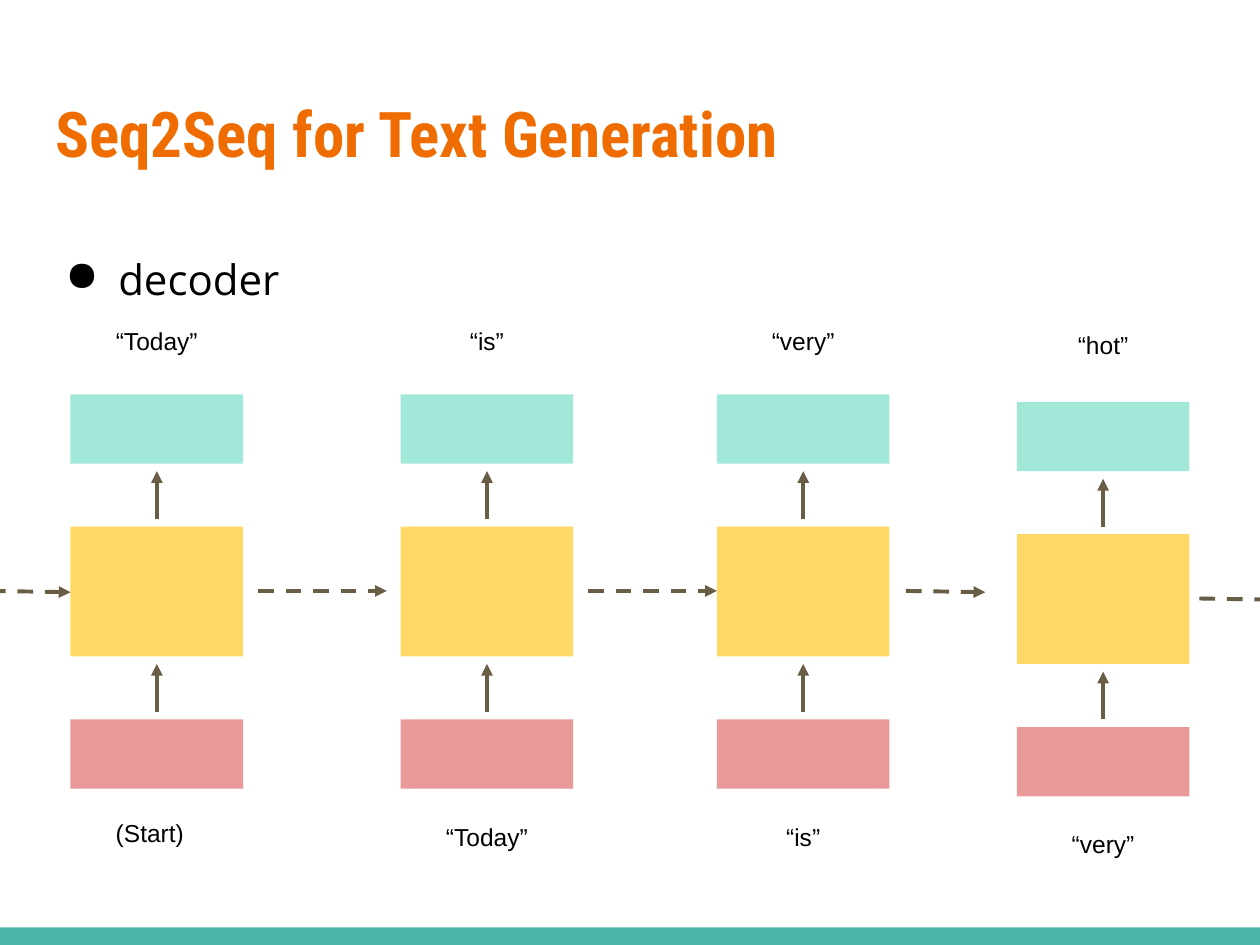
from dataclasses import dataclass

from lxml import etree
from pptx import Presentation
from pptx.dml.color import RGBColor
from pptx.enum.dml import MSO_LINE
from pptx.enum.shapes import MSO_CONNECTOR, MSO_SHAPE
from pptx.enum.text import MSO_ANCHOR, PP_ALIGN
from pptx.oxml.ns import qn
from pptx.util import Inches, Pt


@dataclass(frozen=True)
class Theme:
    title: str = "EF6C00"
    text: str = "000000"
    footer: str = "4DB6AC"
    output: str = "A1E8D9"
    cell: str = "FFD966"
    source: str = "EA9999"
    arrow: str = "695D46"
    title_font: str = "Roboto Condensed"
    body_font: str = "Open Sans"
    label_font: str = "Arial"
    title_size: int = 36
    body_size: int = 24
    label_size: int = 14
    arrow_width: float = 2.25


THEME = Theme()
STEP_WIDTH = 1.37

# left, top, output word, word top, input word, input word top
STEPS = [
    (0.56, 3.13, "“Today”", 2.49, "(Start)", 6.39),
    (3.18, 3.13, "“is”", 2.49, "“Today”", 6.42),
    (5.69, 3.13, "“very”", 2.49, "“is”", 6.42),
    (8.07, 3.19, "“hot”", 2.52, "“very”", 6.48),
]

# Hidden state passed between steps: start x, start y, end x, end y
STATE_ARROWS = [
    (-0.08, 4.69, 0.56, 4.70),
    (2.05, 4.69, 3.07, 4.69),
    (4.67, 4.69, 5.69, 4.69),
    (7.19, 4.69, 7.82, 4.70),
    (9.52, 4.75, 10.15, 4.76),
]


def add_block(page, left, top, width, height, color):
    block = page.shapes.add_shape(
        MSO_SHAPE.RECTANGLE, Inches(left), Inches(top), Inches(width), Inches(height))
    block.shadow.inherit = False
    block.fill.solid()
    block.fill.fore_color.rgb = RGBColor.from_string(color)
    block.line.fill.background()


def add_text(page, left, top, width, height, text, font, size,
             color=THEME.text, bold=False, align=PP_ALIGN.LEFT):
    box = page.shapes.add_textbox(Inches(left), Inches(top), Inches(width), Inches(height))
    frame = box.text_frame
    frame.word_wrap = True
    frame.vertical_anchor = MSO_ANCHOR.TOP
    frame.margin_left = frame.margin_right = Inches(0.1)
    frame.margin_top = frame.margin_bottom = Inches(0.1)
    frame.text = text
    para = frame.paragraphs[0]
    para.alignment = align
    span = para.runs[0]
    span.font.name = font
    span.font.size = Pt(size)
    span.font.bold = bold
    span.font.color.rgb = RGBColor.from_string(color)
    return para


def add_arrow(page, x1, y1, x2, y2, dashed=False):
    arrow = page.shapes.add_connector(
        MSO_CONNECTOR.STRAIGHT, Inches(x1), Inches(y1), Inches(x2), Inches(y2))
    arrow.line.color.rgb = RGBColor.from_string(THEME.arrow)
    arrow.line.width = Pt(THEME.arrow_width)
    if dashed:
        arrow.line.dash_style = MSO_LINE.DASH
    props = arrow._element.spPr
    etree.SubElement(props.find(qn("a:ln")), qn("a:tailEnd"), type="triangle")
    etree.SubElement(props, qn("a:effectLst"))


def add_heading(page, left, top, width):
    add_text(page, left, top, width, 1.03, "Seq2Seq for Text Generation",
             THEME.title_font, THEME.title_size, THEME.title, bold=True)


def add_bullet(page, left, top, width):
    para = add_text(page, left, top, width, 0.79, "decoder",
                    THEME.body_font, THEME.body_size)
    para.line_spacing = 1.15
    para.space_after = Pt(16)
    props = para._p.get_or_add_pPr()
    props.set("marL", str(Inches(0.5)))
    props.set("indent", str(Inches(-0.42)))
    color = etree.SubElement(props, qn("a:buClr"))
    etree.SubElement(color, qn("a:srgbClr"), val=THEME.text)
    etree.SubElement(props, qn("a:buChar"), char="●")


def add_step(page, left, top, output, output_top, source, source_top):
    # Output, cell and input blocks
    for offset, height, color in ((0, 0.55, THEME.output),
                                  (1.05, 1.03, THEME.cell),
                                  (2.58, 0.55, THEME.source)):
        add_block(page, left, top + offset, STEP_WIDTH, height, color)

    # Upward arrows between the blocks
    center = left + STEP_WIDTH / 2
    for offset in (0.99, 2.52):
        add_arrow(page, center, top + offset, center, top + offset - 0.38)

    # Words above and below; the start token is set flush left
    for word, word_top in ((output, output_top), (source, source_top)):
        is_start = word == "(Start)"
        inset = 0.26 if is_start else 0
        add_text(page, left + inset, word_top, STEP_WIDTH - 2 * inset, 0.38, word,
                 THEME.label_font, THEME.label_size,
                 align=PP_ALIGN.LEFT if is_start else PP_ALIGN.CENTER)


def main():
    deck = Presentation()
    deck.slide_width, deck.slide_height = Inches(10), Inches(7.5)
    page = deck.slides.add_slide(deck.slide_layouts[6])

    # Footer band, title and bullet
    add_block(page, 0, 7.36, 10, 0.14, THEME.footer)
    add_heading(page, 0.34, 0.65, 9.32)
    add_bullet(page, 0.34, 1.85, 9.32)

    # Decoder diagram
    for step in STEPS:
        add_step(page, *step)
    for ends in STATE_ARROWS:
        add_arrow(page, *ends, dashed=True)

    deck.save("out.pptx")


if __name__ == "__main__":
    main()
